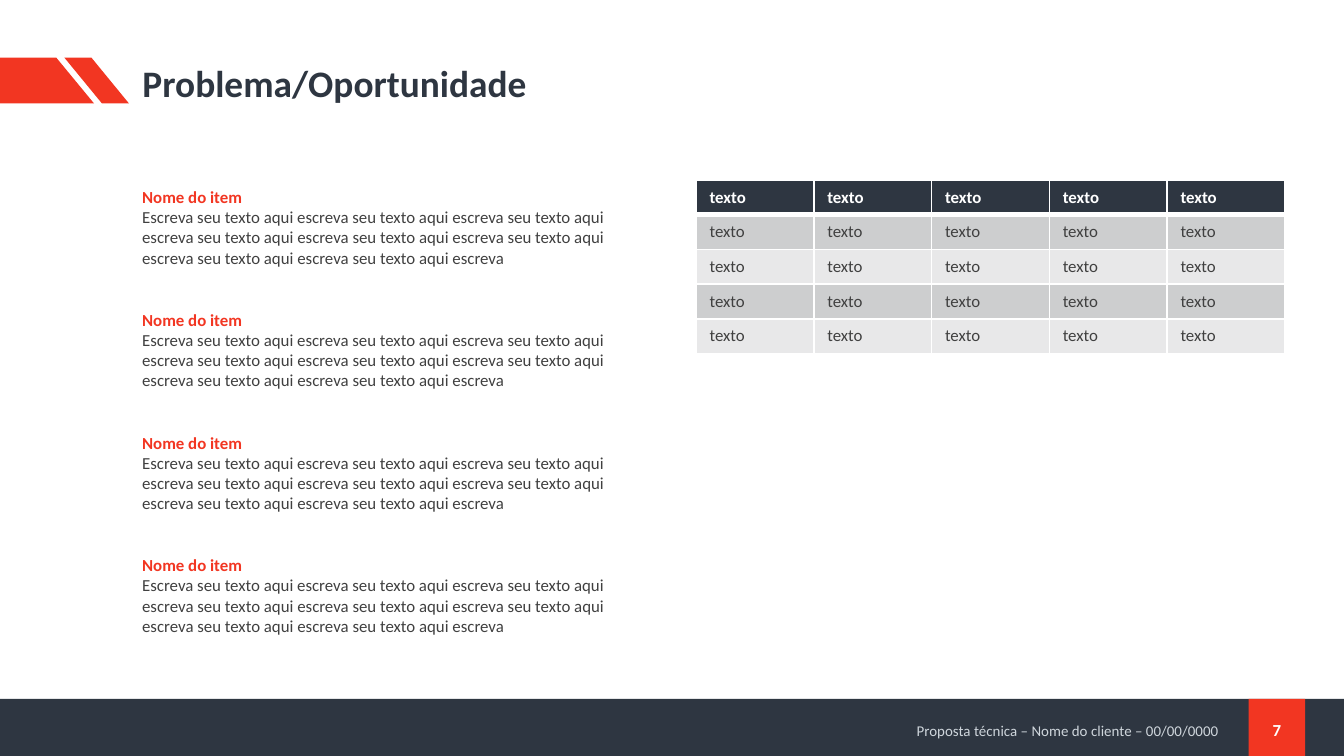
from lxml import etree
from pptx import Presentation
from pptx.dml.color import RGBColor
from pptx.enum import shapes, text
from pptx.oxml import ns
from pptx.util import Inches, Pt

# Content
TITLE = "Problema/Oportunidade"
FOOTER = "Proposta técnica – Nome do cliente – 00/00/0000"
PAGE = "7"
PHRASE = "escreva seu texto aqui"
DESCRIPTION = " ".join([PHRASE] * 8 + ["escreva"]).capitalize()
ITEMS = [("Nome do item", DESCRIPTION)] * 4
TABLE = [["texto"] * 5] * 5

# Style
FONT = "Calibri"
NAVY, RED, WHITE, GREY = "2E3641", "F23622", "FFFFFF", "404040"
FOOTER_GREY = "CFD6DC"
BANDS = ["CDCECF", "E8E8E9"]

# Layout: a 16:9 page with the bar reaching its lower edge
WIDTH = 10
HEIGHT = WIDTH * 9 / 16
BAR_TOP = 5.2
BAR_HEIGHT = HEIGHT - BAR_TOP
PAGE_LEFT, PAGE_WIDTH = 9.29, 0.42
TEXT_LEFT = 0.96
CONTENT_TOP, LAST_ITEM_TOP = 1.34, 4.08
ITEM_STEP = (LAST_ITEM_TOP - CONTENT_TOP) / (len(ITEMS) - 1)
TABLE_WIDTH, TABLE_HEIGHT = 4.38, 1.29


def paint(target, color):
    target.solid()
    target.fore_color.rgb = RGBColor.from_string(color)


def decorate(shape, color):
    paint(shape.fill, color)
    shape.line.fill.background()
    shape.shadow.inherit = False
    return shape


def add_block(kind, left, top, width, height, color):
    block = slide.shapes.add_shape(
        kind, Inches(left), Inches(top), Inches(width), Inches(height))
    return decorate(block, color)


def write(paragraph, words, size, color, bold=False):
    run = paragraph.add_run()
    run.text = words
    run.font.name = FONT
    run.font.size = Pt(size)
    run.font.bold = bold
    run.font.color.rgb = RGBColor.from_string(color)


def add_text(left, top, width, height, anchor=text.MSO_ANCHOR.MIDDLE):
    frame = slide.shapes.add_textbox(
        Inches(left), Inches(top), Inches(width), Inches(height)).text_frame
    frame.word_wrap = True
    frame.vertical_anchor = anchor
    return frame


def add_border(cell, side, points):
    line = etree.SubElement(cell._tc.get_or_add_tcPr(), ns.qn(f"a:ln{side}"), w=str(Pt(points)))
    fill = etree.SubElement(line, ns.qn("a:solidFill"))
    etree.SubElement(fill, ns.qn("a:srgbClr"), val=WHITE)


prs = Presentation()
prs.slide_width, prs.slide_height = Inches(WIDTH), Inches(HEIGHT)
slide = prs.slides.add_slide(prs.slide_layouts[5])

# Footer bar and page square
add_block(shapes.MSO_SHAPE.RECTANGLE, 0, BAR_TOP, WIDTH, BAR_HEIGHT, NAVY)
add_block(shapes.MSO_SHAPE.RECTANGLE, PAGE_LEFT, BAR_TOP, PAGE_WIDTH, BAR_HEIGHT, RED)

# Title ornament
outline = slide.shapes.build_freeform(0, Inches(0.43))
outline.add_line_segments(
    [(Inches(x), Inches(y)) for x, y in [(0.42, 0.43), (0.7, 0.77), (0, 0.77)]])
decorate(outline.convert_to_shape(), RED)
stripe = add_block(shapes.MSO_SHAPE.PARALLELOGRAM, 0.48, 0.43, 0.48, 0.34, RED)
stripe.adjustments[0] = 0.82
stripe._element.spPr.xfrm.set("flipH", "1")

# Footer text and page number
footer = add_text(5.59, 5.34, 3.63, 0.21)
footer.margin_right = Inches(0.15)
footer.paragraphs[0].alignment = text.PP_ALIGN.RIGHT
footer.paragraphs[0].line_spacing = 0.9
write(footer.paragraphs[0], FOOTER, 8, FOOTER_GREY)
page = add_text(PAGE_LEFT, 5.28, PAGE_WIDTH, 0.3)
page.paragraphs[0].alignment = text.PP_ALIGN.CENTER
write(page.paragraphs[0], PAGE, 9, WHITE, True)

# Title
title = slide.shapes.title
title.left, title.top = Inches(TEXT_LEFT), Inches(0.43)
title.width, title.height = Inches(8.75), Inches(0.41)
title.text_frame.vertical_anchor = text.MSO_ANCHOR.MIDDLE
heading = title.text_frame.paragraphs[0]
heading.alignment = text.PP_ALIGN.LEFT
heading.line_spacing = 0.9
write(heading, TITLE, 20, NAVY, True)

# Items
for index, (name, description) in enumerate(ITEMS):
    item = add_text(TEXT_LEFT, CONTENT_TOP + index * ITEM_STEP, 3.86, 0.71,
                    text.MSO_ANCHOR.TOP)
    write(item.paragraphs[0], name, 9, RED, True)
    write(item.add_paragraph(), description, 9, GREY)

# Table
rows, columns = len(TABLE), len(TABLE[0])
table = slide.shapes.add_table(
    rows, columns, Inches(5.18), Inches(CONTENT_TOP),
    Inches(TABLE_WIDTH), Inches(TABLE_HEIGHT)).table
for r, values in enumerate(TABLE):
    header = r == 0
    for c, value in enumerate(values):
        cell = table.cell(r, c)
        cell.vertical_anchor = text.MSO_ANCHOR.MIDDLE
        borders = {"L": 1, "R": 1, "T": 3 if r == 1 else 1, "B": 3 if header else 1}
        for side, points in borders.items():
            add_border(cell, side, points)
        paint(cell.fill, NAVY if header else BANDS[(r - 1) % 2])
        write(cell.text_frame.paragraphs[0], value, 9, WHITE if header else GREY, header)

prs.save("out.pptx")
